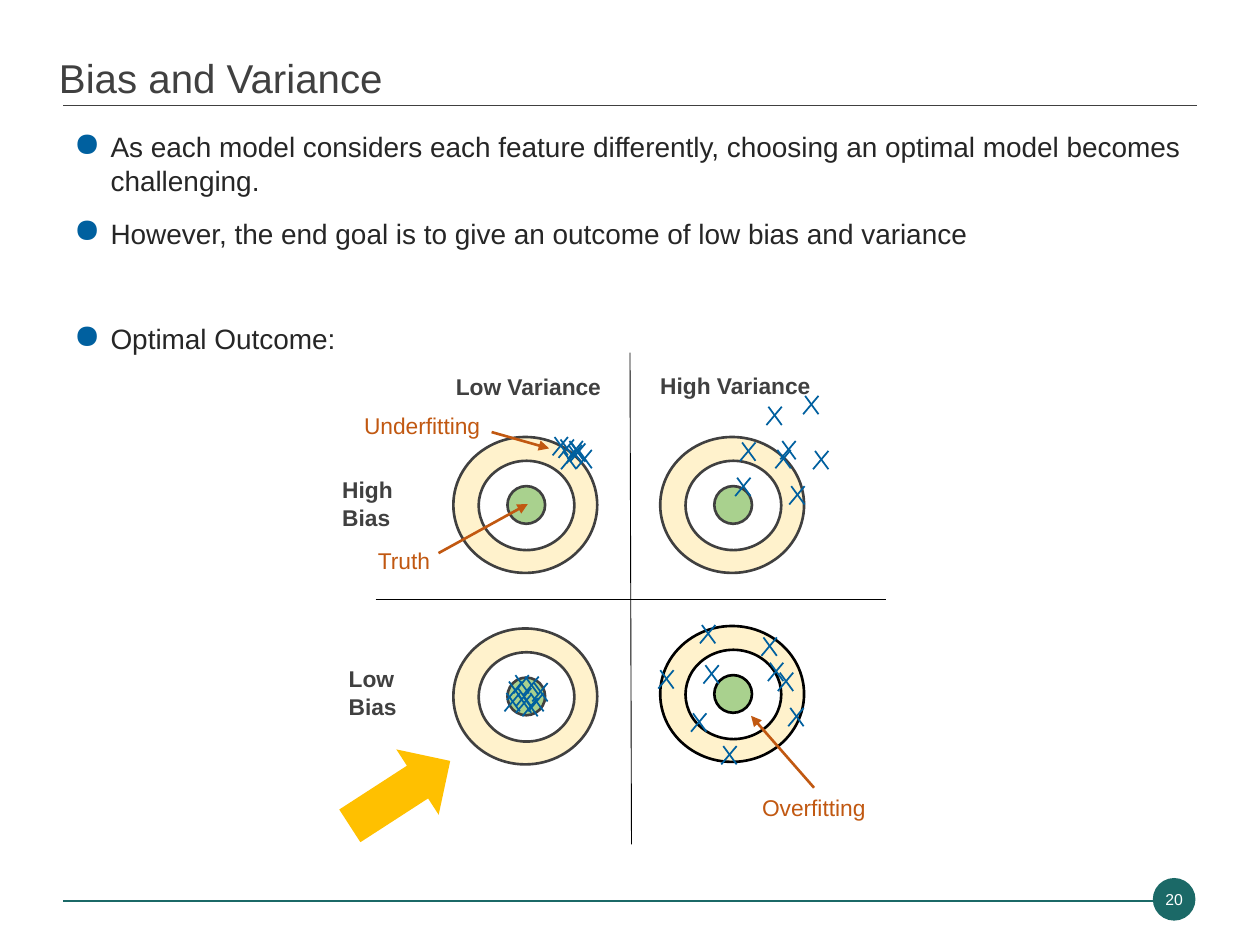
from lxml import etree
from pptx import Presentation
from pptx import util as u
from pptx.dml.color import RGBColor
from pptx.enum import shapes, text
from pptx.oxml import ns

COLORS = {
    "teal": "1B6967", "blue": "00609F", "rust": "C15811", "gold": "FFC000",
    "cream": "FFF2CC", "green": "A9D18E", "white": "FFFFFF",
    "black": "000000", "dark": "404040", "body": "262626",
}
RINGS = [  # offset x, offset y, width, height, fill
    (0, 0, 2.9, 2.74, "cream"),
    (0.51, 0.48, 1.93, 1.8, "white"),
    (1.09, 0.99, 0.76, 0.76, "green"),
]
TARGETS = [  # left, top, outline, left and top of each cross
    (9.14, 8.81, "dark", [
        (11.3, 8.86), (11.48, 8.89), (11.35, 9.09), (11.53, 8.94),
        (11.18, 8.81), (11.66, 9.07), (11.46, 8.97)]),
    (13.31, 8.81, "dark", [
        (14.86, 9.63), (15.95, 9.8), (15.77, 8.89), (16.43, 9.09),
        (15.49, 8.2), (14.96, 8.92), (16.23, 7.98), (15.67, 9.07)]),
    (13.31, 12.62, "black", [
        (15.93, 14.27), (15.52, 13.36), (15.72, 13.56), (15.39, 12.85),
        (14.22, 13.41), (13.97, 14.38), (13.31, 13.51), (14.15, 12.6),
        (14.58, 15.04)]),
    (9.14, 12.67, "dark", [
        (10.39, 13.61), (10.69, 13.97), (10.44, 14), (10.57, 14.07),
        (10.59, 13.64), (10.26, 13.74), (10.77, 13.77), (10.21, 13.97),
        (10.44, 13.87)]),
]
LABELS = [  # text, left, top, width, height
    ("Low Variance", 8.94, 7.39, 3.76, 0.94),
    ("High Variance", 13.06, 7.37, 3.81, 0.94),
    ("High Bias", 6.65, 9.47, 2.13, 1.4),
    ("Low Bias", 6.78, 13.28, 2.13, 1.4),
]
CALLOUTS = [  # text, left, top, alignment, arrow start and end
    ("Underfitting", 7.09, 8.18, "LEFT", (9.91, 8.71, 11.07, 9.04)),
    ("Truth", 7.37, 10.9, "LEFT", (8.84, 11.15, 10.64, 10.16)),
    ("Overfitting", 14.73, 15.88, "CENTER", (16.41, 15.88, 15.14, 14.43)),
]
BULLETS = [  # text, space before in points
    ("As each model considers each feature differently, choosing an optimal "
     "model becomes challenging.", 0),
    ("However, the end goal is to give an outcome of low bias and variance", 11),
    ("Optimal Outcome:", 41),
]


def rgb(color):
    return RGBColor.from_string(COLORS[color])


def set_font(font, size, color, bold=False):
    values = {"name": "Arial", "size": u.Pt(size), "bold": bold}
    for key, value in values.items():
        setattr(font, key, value)
    font.color.rgb = rgb(color)


def add_line(s, x1, y1, x2, y2, color, width, arrow=False):
    line = s.shapes.add_connector(shapes.MSO_CONNECTOR.STRAIGHT,
                                  *map(u.Cm, (x1, y1, x2, y2)))
    line.line.color.rgb = rgb(color)
    line.line.width = u.Pt(width)
    if arrow:
        etree.SubElement(line.line._get_or_add_ln(), ns.qn("a:tailEnd"),
                         type="triangle")
    etree.SubElement(line._element.spPr, ns.qn("a:effectLst"))


def add_solid(s, kind, x, y, w, h, fill, outline=None):
    sp = s.shapes.add_shape(kind, *map(u.Cm, (x, y, w, h)))
    sp.shadow.inherit = False
    sp.fill.solid()
    sp.fill.fore_color.rgb = rgb(fill)
    if outline:
        sp.line.color.rgb = rgb(outline)
        sp.line.width = u.Pt(1.5)
    else:
        sp.line.fill.background()
    return sp


def add_text(s, words, x, y, w, h, size, color, bold=False, align="LEFT"):
    tf = s.shapes.add_textbox(*map(u.Cm, (x, y, w, h))).text_frame
    tf.word_wrap = True
    p = tf.paragraphs[0]
    p.alignment = text.PP_ALIGN[align]
    r = p.add_run()
    r.text = words
    set_font(r.font, size, color, bold)
    return tf


def add_title(s):
    tf = add_text(s, "Bias and Variance", 0.94, 0.18, 23.24, 2.01, 23, "dark")
    tf.vertical_anchor = text.MSO_ANCHOR.BOTTOM
    tf.margin_top = u.Cm(0.2)
    tf.paragraphs[0].line_spacing = 0.9


def add_bullets(s):
    box = s.shapes.add_textbox(*map(u.Cm, (1.24, 2.49, 23.24, 5.28)))
    tf = box.text_frame
    tf.word_wrap = True
    for i, (words, space) in enumerate(BULLETS):
        p = tf.add_paragraph() if i else tf.paragraphs[0]
        p.space_before = u.Pt(space)
        pPr = p._p.get_or_add_pPr()
        pPr.set("marL", str(u.Cm(0.74)))
        pPr.set("indent", str(-u.Cm(0.74)))
        color = etree.SubElement(pPr, ns.qn("a:buClr"))
        etree.SubElement(color, ns.qn("a:srgbClr"), val=COLORS["blue"])
        etree.SubElement(pPr, ns.qn("a:buSzPct"), val="120000")
        etree.SubElement(pPr, ns.qn("a:buChar"), char="●")
        r = p.add_run()
        r.text = words
        set_font(r.font, 16, "body")


def add_target(s, x, y, outline):
    for dx, dy, w, h, fill in RINGS:
        add_solid(s, shapes.MSO_SHAPE.OVAL, x + dx, y + dy, w, h, fill, outline)


def add_cross(s, x, y):
    add_line(s, x, y, x + 0.27, y + 0.37, "blue", 1)
    add_line(s, x + 0.27, y, x - 0.04, y + 0.37, "blue", 1)


def add_page_number(s):
    sp = add_solid(s, shapes.MSO_SHAPE.OVAL, 23.24, 17.7, 0.86, 0.86, "teal")
    tf = sp.text_frame
    values = {"word_wrap": False, "vertical_anchor": text.MSO_ANCHOR.MIDDLE,
              "margin_left": 0, "margin_right": 0,
              "margin_top": 0, "margin_bottom": 0}
    for key, value in values.items():
        setattr(tf, key, value)
    p = tf.paragraphs[0]
    p.alignment = text.PP_ALIGN.CENTER
    r = p.add_run()
    r.text = "20"
    set_font(r.font, 9, "white")


def main():
    prs = Presentation()
    prs.slide_width, prs.slide_height = u.Cm(25.4), u.Cm(19.05)
    s = prs.slides.add_slide(prs.slide_layouts[6])

    add_line(s, 1.27, 18.16, 23.52, 18.16, "teal", 1)
    add_line(s, 1.27, 2.13, 24.13, 2.13, "dark", 0.5)
    add_title(s)
    add_bullets(s)
    add_page_number(s)

    arrow = add_solid(s, shapes.MSO_SHAPE.RIGHT_ARROW,
                      6.86, 15.21, 2.41, 1.57, "gold")
    arrow.rotation = 327.1
    for x, y, outline, crosses in TARGETS:
        add_target(s, x, y, outline)
        for cross in crosses:
            add_cross(s, *cross)
    for words, *box in LABELS:
        add_text(s, words, *box, 13, "dark", bold=True)
    for words, x, y, align, ends in CALLOUTS:
        add_text(s, words, x, y, 3.35, 0.86, 13, "rust", align=align)
        add_line(s, *ends, "rust", 1.5, arrow=True)
    add_line(s, 7.57, 12.09, 17.86, 12.09, "black", 0.5)
    add_line(s, 12.7, 7.11, 12.73, 17.02, "black", 0.5)

    prs.save("out.pptx")


if __name__ == "__main__":
    main()
